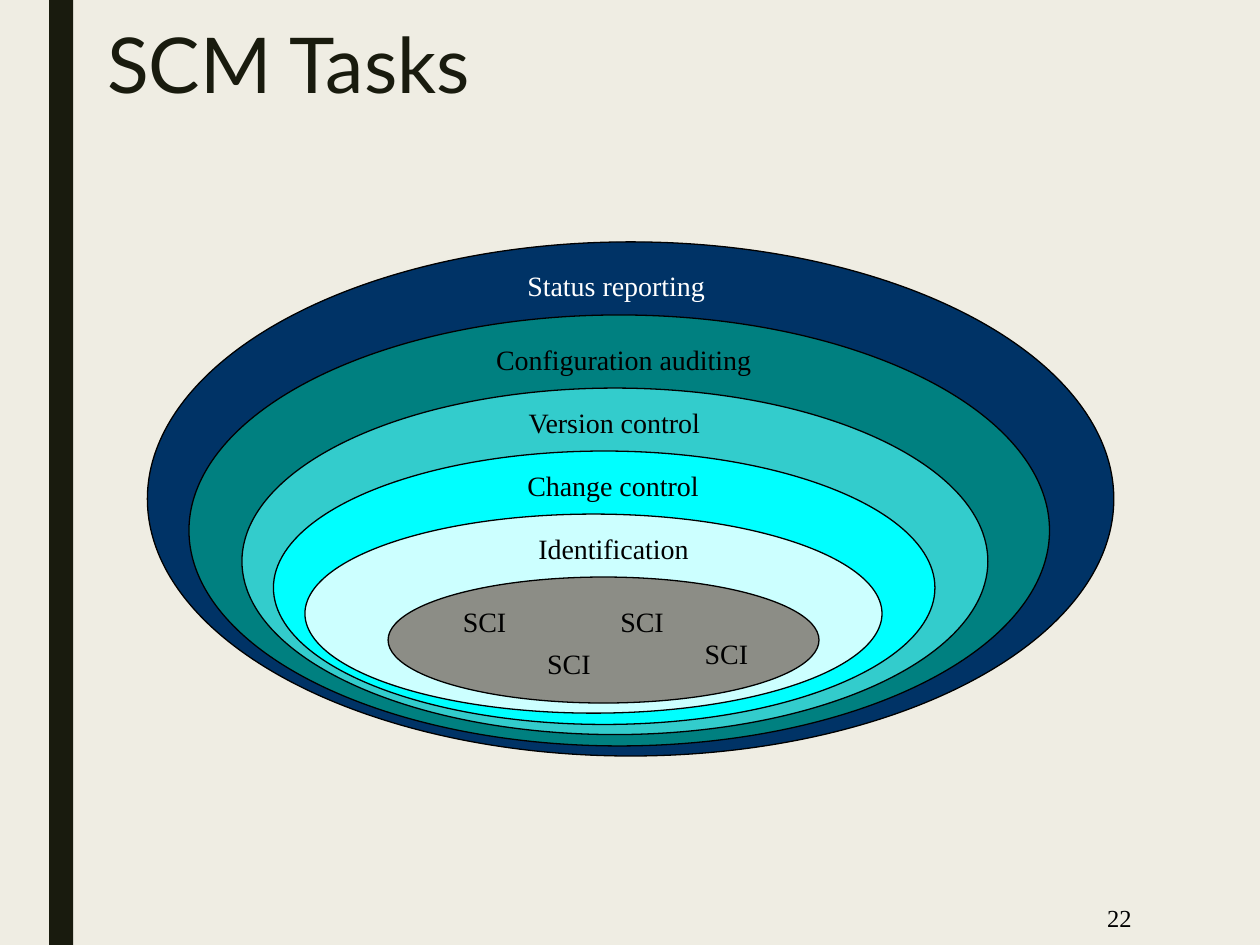
from typing import NamedTuple

from pptx import Presentation
from pptx.dml.color import RGBColor
from pptx.enum import shapes, text
from pptx.util import Inches, Pt

SERIF = "Times New Roman"
INK = "191B0E"
BLACK = "000000"


class Ring(NamedTuple):
    left: float
    top: float
    width: float
    height: float
    fill: str


class Label(NamedTuple):
    words: str
    left: float
    top: float
    width: float
    color: str = BLACK


# Outermost task first, so that each ring covers part of the one before
RINGS = [
    Ring(1.17, 1.92, 7.67, 4.08, "003366"),
    Ring(1.5, 2.5, 6.83, 3.42, "008080"),
    Ring(1.92, 3.08, 5.92, 2.75, "33CCCC"),
    Ring(2.17, 3.58, 5.25, 2.17, "00FFFF"),
    Ring(2.42, 4.08, 4.58, 1.58, "CCFFFF"),
    Ring(3.08, 4.58, 3.42, 1, "8C8D86"),
]
TASKS = [
    Label("Status reporting", 4.08, 2.08, 1.62, "FFFFFF"),
    Label("Configuration auditing", 3.83, 2.67, 2.24),
    Label("Version control", 4.08, 3.17, 1.59),
    Label("Change control", 4.08, 3.67, 1.57),
    Label("Identification", 4.17, 4.17, 1.4),
]
ITEMS = [
    Label("SCI", left, top, 0.55)
    for left, top in [(3.57, 4.75), (4.24, 5.08), (4.82, 4.75), (5.49, 5)]
]


def rgb(color: str) -> RGBColor:
    return RGBColor.from_string(color)


def style(para, font: str, size: float, color: str, align=None) -> None:
    para.font.name = font
    para.font.size = Pt(size)
    para.font.color.rgb = rgb(color)
    para.alignment = align


def draw_ring(parent, ring: Ring) -> None:
    oval = parent.add_shape(
        shapes.MSO_SHAPE.OVAL, *(Inches(side) for side in ring[:4]))
    oval.shadow.inherit = False
    oval.fill.solid()
    oval.fill.fore_color.rgb = rgb(ring.fill)
    oval.line.color.rgb = rgb(BLACK)
    oval.line.width = Pt(0.75)


def draw_label(parent, label: Label) -> None:
    box = parent.add_textbox(Inches(label.left), Inches(label.top),
                             Inches(label.width), Inches(0.37))
    frame = box.text_frame
    frame.word_wrap = False
    frame.auto_size = text.MSO_AUTO_SIZE.SHAPE_TO_FIT_TEXT
    frame.text = label.words
    style(frame.paragraphs[0], SERIF, 16, label.color, text.PP_ALIGN.CENTER)


def main() -> None:
    deck = Presentation()
    deck.slide_width, deck.slide_height = Inches(10), Inches(7.5)
    slide = deck.slides.add_slide(deck.slide_layouts[5])

    # Background and side bar
    slide.background.fill.solid()
    slide.background.fill.fore_color.rgb = rgb("EFEDE3")
    bar = slide.shapes.add_shape(shapes.MSO_SHAPE.RECTANGLE, Inches(0.39), 0,
                                 Inches(0.19), deck.slide_height)
    bar.shadow.inherit = False
    bar.fill.solid()
    bar.fill.fore_color.rgb = rgb(INK)
    bar.line.fill.background()

    # Title
    title = slide.shapes.title
    title.left, title.top = Inches(0.75), Inches(0.17)
    title.width, title.height = Inches(8.5), Inches(1.25)
    title.text_frame.text = "SCM Tasks"
    title.text_frame.vertical_anchor = text.MSO_ANCHOR.TOP
    head = title.text_frame.paragraphs[0]
    head.line_spacing = 0.89
    style(head, "Lato", 44, INK, text.PP_ALIGN.LEFT)

    # Page number
    page = slide.shapes.add_textbox(Inches(7.77), Inches(7.06),
                                    Inches(1.31), Inches(0.44)).text_frame
    page.word_wrap = True
    page.vertical_anchor = text.MSO_ANCHOR.MIDDLE
    page.text = "22"
    style(page.paragraphs[0], SERIF, 14, BLACK, text.PP_ALIGN.RIGHT)

    # Nested rings with their labels
    group = slide.shapes.add_group_shape().shapes
    for ring in RINGS:
        draw_ring(group, ring)
    for label in TASKS + ITEMS:
        draw_label(group, label)

    deck.save("out.pptx")


if __name__ == "__main__":
    main()
